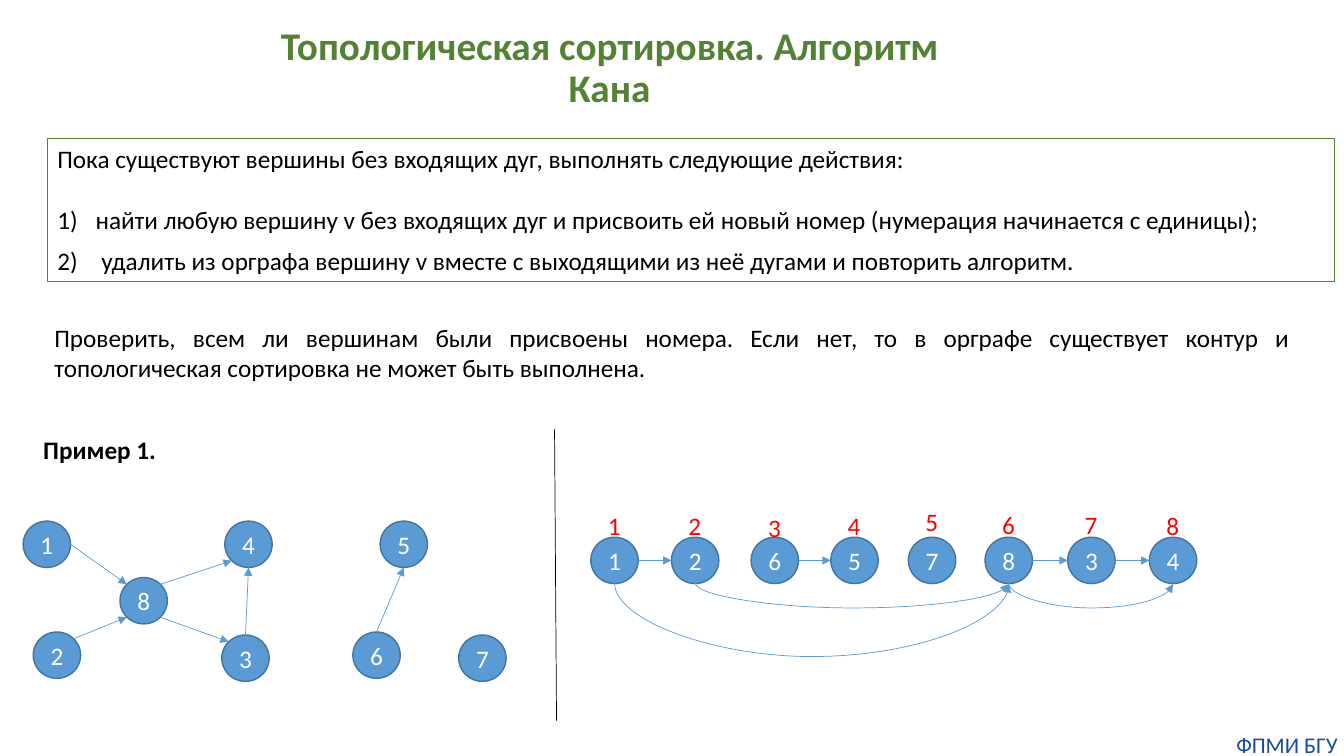
from lxml.etree import SubElement
from pptx import Presentation
from pptx.dml.color import RGBColor
from pptx.enum.shapes import MSO_CONNECTOR, MSO_SHAPE
from pptx.enum.text import MSO_ANCHOR, PP_ALIGN
from pptx.oxml.ns import qn
from pptx.util import Inches, Pt

COLORS = {
    "green": "548235", "black": "000000", "white": "FFFFFF", "red": "FF0000",
    "node": "5B9BD5", "node_line": "43739E", "footer": "144E9D",
}
NODE_WIDTH, NODE_HEIGHT = 0.47, 0.46
SITES = {
    "top": (0, -1), "bottom": (0, 1), "left": (-1, 0), "right": (1, 0),
    "top left": (-0.71, -0.71), "top right": (0.71, -0.71),
    "bottom left": (-0.71, 0.71), "bottom right": (0.71, 0.71),
}

presentation = Presentation()
presentation.slide_width = Inches(13.33)
presentation.slide_height = Inches(7.5)
slide = presentation.slides.add_slide(presentation.slide_layouts[6])


def add_text(box, lines, color="black", size=18, bold=False, align=PP_ALIGN.LEFT, wrap=True):
    left, top, width, height = [Inches(value) for value in box]
    shape = slide.shapes.add_textbox(left, top, width, height)
    frame = shape.text_frame
    frame.word_wrap = wrap
    frame.text = "\n".join(lines)
    for paragraph in frame.paragraphs:
        paragraph.alignment = align
        paragraph.font.name = "Calibri"
        paragraph.font.size = Pt(size)
        paragraph.font.bold = bold
        paragraph.font.color.rgb = RGBColor.from_string(COLORS[color])
    return shape


def add_line(kind, start, end, color="node", arrow=True):
    line = slide.shapes.add_connector(kind, *[Inches(value) for value in (*start, *end)])
    line.line.color.rgb = RGBColor.from_string(COLORS[color])
    line.line.width = Pt(0.5)
    if arrow:
        SubElement(line.line._get_or_add_ln(), qn("a:tailEnd"), type="triangle")
    SubElement(line._element.spPr, qn("a:effectLst"))
    return line


title = add_text((2.39, 0.4, 7.31, 0.57), ["Топологическая сортировка. Алгоритм Кана"],
                 "green", 28, True, PP_ALIGN.CENTER)
title.text_frame.vertical_anchor = MSO_ANCHOR.MIDDLE
title.text_frame.paragraphs[0].line_spacing = 0.9

algorithm = add_text((0.47, 1.37, 12.77, 1.42), [
    "Пока существуют вершины без входящих дуг, выполнять следующие действия:",
    "найти любую вершину v без входящих дуг и присвоить ей новый номер (нумерация начинается с единицы);",
    " удалить из орграфа вершину v вместе с выходящими из неё дугами и повторить алгоритм.",
], align=PP_ALIGN.JUSTIFY)
algorithm.line.color.rgb = RGBColor.from_string(COLORS["green"])
algorithm.line.width = Pt(0.75)
intro, *steps = algorithm.text_frame.paragraphs
intro.space_after = Pt(22)
for step in steps:
    step.space_after = Pt(8)
    properties = step._p.get_or_add_pPr()
    properties.set("marL", str(Inches(0.38)))
    properties.set("indent", str(Inches(-0.38)))
    SubElement(properties, qn("a:buFont"), typeface="+mj-lt")
    SubElement(properties, qn("a:buAutoNum"), type="arabicParenR")
    properties.append(properties.find(qn("a:defRPr")))
steps[-1].alignment = PP_ALIGN.LEFT

add_text((0.44, 3.15, 12.45, 0.71), [
    "Проверить, всем ли вершинам были присвоены номера. Если нет, то в орграфе "
    "существует контур и топологическая сортировка не может быть выполнена.",
], align=PP_ALIGN.JUSTIFY)
add_text((0.33, 4.26, 1.39, 0.4), ["Пример 1."], bold=True, wrap=False)
add_line(MSO_CONNECTOR.STRAIGHT, (5.5, 4.26), (5.52, 7.15), "black", False)

graph = {
    1: (0.23, 5.17), 5: (3.77, 5.17), 2: (0.33, 6.27), 3: (2.2, 6.3),
    7: (4.55, 6.3), 6: (3.5, 6.27), 4: (2.23, 5.17), 8: (1.19, 5.73),
}
graph_arcs = [
    (1, "right", 8, "top left"), (2, "top right", 8, "bottom left"),
    (8, "top right", 4, "bottom left"), (8, "bottom right", 3, "top left"),
    (3, "top", 4, "bottom"), (6, "top", 5, "bottom"),
]
sorted_lefts = {1: 5.86, 2: 6.66, 6: 7.45, 5: 8.24, 7: 9.01, 8: 9.77, 3: 10.59, 4: 11.4}
sorted_graph = {node: (left, 5.33) for node, left in sorted_lefts.items()}
sorted_arcs = [(start, "right", end, "left") for start, end in [(1, 2), (6, 5), (8, 3), (3, 4)]]

for nodes, arcs in [(graph, graph_arcs), (sorted_graph, sorted_arcs)]:
    for node, (left, top) in nodes.items():
        circle = slide.shapes.add_shape(MSO_SHAPE.OVAL, Inches(left), Inches(top),
                                        Inches(NODE_WIDTH), Inches(NODE_HEIGHT))
        circle.shadow.inherit = False
        circle.fill.solid()
        circle.fill.fore_color.rgb = RGBColor.from_string(COLORS["node"])
        circle.line.color.rgb = RGBColor.from_string(COLORS["node_line"])
        circle.line.width = Pt(1)
        circle.text_frame.text = str(node)
        circle.text_frame.vertical_anchor = MSO_ANCHOR.MIDDLE
        paragraph = circle.text_frame.paragraphs[0]
        paragraph.alignment = PP_ALIGN.CENTER
        paragraph.font.name = "Calibri"
        paragraph.font.size = Pt(18)
        paragraph.font.color.rgb = RGBColor.from_string(COLORS["white"])
    for start, start_site, end, end_site in arcs:
        ends = []
        for node, site in [(start, start_site), (end, end_site)]:
            left, top = nodes[node]
            across, down = SITES[site]
            ends.append((left + NODE_WIDTH / 2 * (1 + across), top + NODE_HEIGHT / 2 * (1 + down)))
        add_line(MSO_CONNECTOR.STRAIGHT, *ends)

curve_width = 0.01
curve_top = 5.33 + NODE_HEIGHT
for start, end, depth in [(2, 8, 0.25), (8, 4, 0.25), (1, 8, 0.74)]:
    span = sorted_lefts[end] - sorted_lefts[start]
    center = (sorted_lefts[start] + sorted_lefts[end] + NODE_WIDTH) / 2
    curve = add_line(MSO_CONNECTOR.CURVE,
                     (center + curve_width / 2, curve_top - span / 2),
                     (center - curve_width / 2, curve_top + span / 2))
    curve._element.spPr.find(qn("a:xfrm")).set("rot", str(270 * 60000))
    adjustments = curve._element.spPr.find(qn("a:prstGeom")).get_or_add_avLst()
    ratio = round(depth / curve_width * 100000)
    SubElement(adjustments, qn("a:gd"), name="adj1", fmla=f"val {ratio}")

number_tops = [5.01, 5.01, 5.03, 5.01, 4.97, 5, 5, 5.01]
for number, (left, top) in enumerate(zip(sorted_lefts.values(), number_tops), 1):
    add_text((left + 0.07, top, 0.33, 0.4), [str(number)], "red", wrap=False)

footer = add_text((12.2, 7.25, 1.13, 0.27), ["ФПМИ БГУ"], "footer", 16, align=PP_ALIGN.CENTER)
frame = footer.text_frame
frame.margin_left = frame.margin_right = frame.margin_top = frame.margin_bottom = 0

presentation.save("out.pptx")
